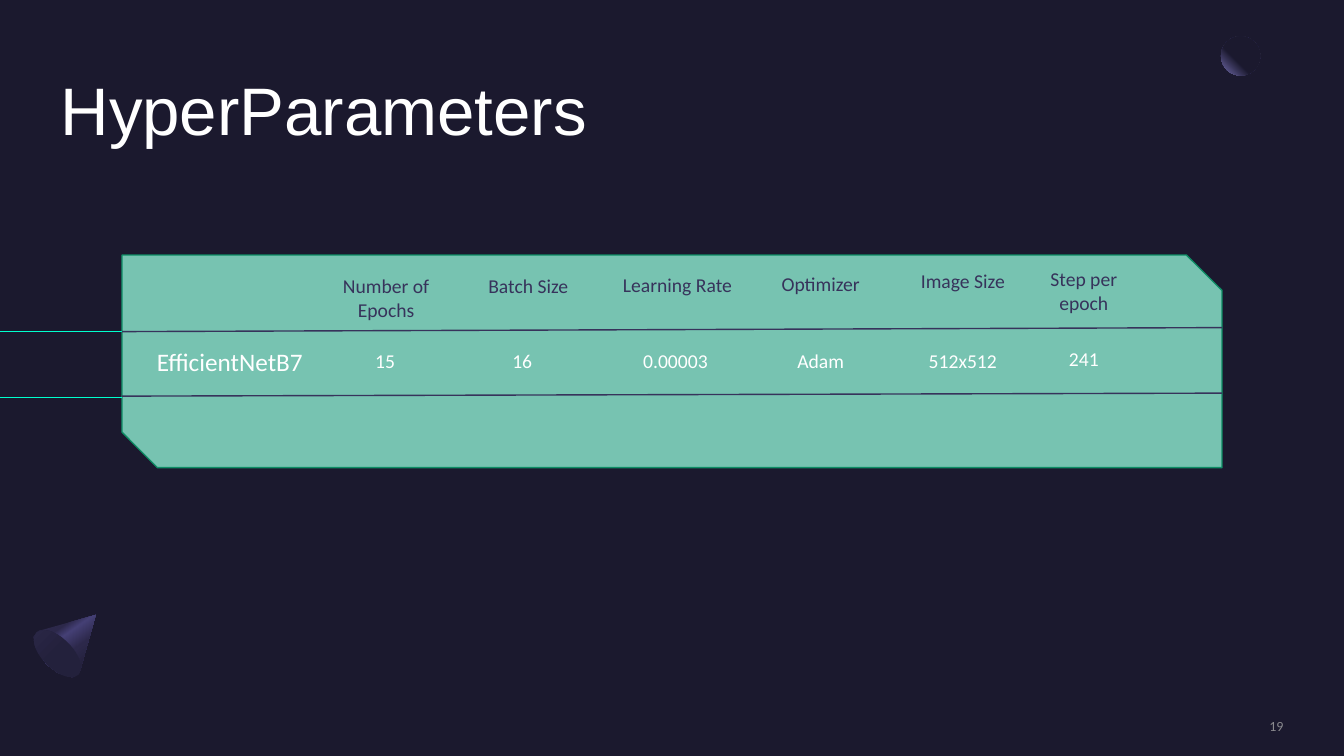
import pptx
import pptx.dml.color
import pptx.enum.shapes
import pptx.enum.text
import pptx.oxml
import pptx.oxml.ns
import pptx.util

Inches = pptx.util.Inches
Pt = pptx.util.Pt
RGBColor = pptx.dml.color.RGBColor
Shape = pptx.enum.shapes.MSO_SHAPE
Align = pptx.enum.text.PP_ALIGN
Anchor = pptx.enum.text.MSO_ANCHOR
AutoSize = pptx.enum.text.MSO_AUTO_SIZE

NIGHT = RGBColor(0x1B, 0x19, 0x2E)
DEEP = RGBColor(0x23, 0x21, 0x3C)
PLUM = RGBColor(0x2C, 0x28, 0x4A)
VIOLET = RGBColor(0x45, 0x40, 0x75)
LILAC = RGBColor(0x77, 0x71, 0xB2)
INDIGO = RGBColor(0x37, 0x33, 0x5B)
MINT = RGBColor(0x92, 0xF4, 0xD6)
GREEN = RGBColor(0x0E, 0x8D, 0x65)
AQUA = RGBColor(0x00, 0xFF, 0xCD)
WHITE = RGBColor(0xFF, 0xFF, 0xFF)
GREY = RGBColor(0xA6, 0xA6, 0xA6)

LINEAR = '<a:lin ang="{}" scaled="0"/>'
FROM_TOP_RIGHT = '<a:path path="circle"><a:fillToRect l="100000" b="100000"/></a:path>'

HEADERS = [
    ("Number of Epochs", 3.16, 2.67, 0.57),
    ("Batch Size", 4.57, 2.67, 0.34),
    ("Learning Rate", 6.05, 2.66, 0.34),
    ("Optimizer", 7.47, 2.65, 0.34),
    ("Image Size", 8.88, 2.62, 0.34),
    ("Step per epoch", 10.08, 2.6, 0.57),
]
VALUES = [
    ("15", 3.15, 3.41),
    ("16", 4.51, 3.41),
    ("0.00003", 6.03, 3.41),
    ("Adam", 7.47, 3.41),
    ("512x512", 8.88, 3.41),
    ("241", 10.08, 3.39),
]
CONE = [(0.95, 6.1), (0.79, 6.67), (0.72, 6.72), (0.58, 6.68),
        (0.46, 6.59), (0.36, 6.44), (0.33, 6.32), (0.38, 6.26)]


def write(frame, text, size=14, color=WHITE, font="Calibri", align=Align.CENTER,
          spacing=None, anchor=Anchor.TOP, margin=None, fit=AutoSize.NONE):
    frame.word_wrap = True
    frame.auto_size = fit
    frame.vertical_anchor = anchor
    if margin is not None:
        frame.margin_left = frame.margin_right = Inches(margin)
        frame.margin_top = frame.margin_bottom = Inches(margin)
    para = frame.paragraphs[0]
    para.alignment = align
    para.line_spacing = spacing
    span = para.add_run()
    span.text = text
    span.font.size = Pt(size)
    span.font.name = font
    span.font.color.rgb = color
    return span


def set_alpha(properties, percent):
    color = properties.find(".//" + pptx.oxml.ns.qn("a:srgbClr"))
    alpha = color.makeelement(pptx.oxml.ns.qn("a:alpha"), {"val": str(percent * 1000)})
    color.append(alpha)


class SlideBuilder:
    def __init__(self, deck):
        self.page = deck.slides.add_slide(deck.slide_layouts[5])
        self.page.background.fill.solid()
        self.page.background.fill.fore_color.rgb = NIGHT

    def title(self, text):
        box = self.page.shapes.title
        box.left, box.top = Inches(0.6), Inches(0.6)
        box.width, box.height = Inches(12.13), Inches(1.46)
        write(box.text_frame, text, size=48, font="Arial", align=Align.LEFT,
              spacing=1.1, margin=0)

    def text(self, text, left, top, width=1.34, height=0.34, **style):
        box = self.page.shapes.add_textbox(
            Inches(left), Inches(top), Inches(width), Inches(height))
        return write(box.text_frame, text, **style)

    def label(self, text, left, top, width=1.34, height=0.34, **style):
        return self.text(text, left, top, width, height, fit=AutoSize.SHAPE_TO_FIT_TEXT, **style)

    def shape(self, kind, left, top, width, height):
        box = self.page.shapes.add_shape(
            kind, Inches(left), Inches(top), Inches(width), Inches(height))
        box.shadow.inherit = False
        box.line.fill.background()
        return box

    def outline(self, points):
        corners = [(Inches(x), Inches(y)) for x, y in points]
        builder = self.page.shapes.build_freeform(*corners[0])
        builder.add_line_segments(corners[1:], close=True)
        box = builder.convert_to_shape()
        box.shadow.inherit = False
        box.line.fill.background()
        return box

    def gradient(self, box, stops, direction):
        box.fill.gradient()
        old = box.fill._xPr.find(pptx.oxml.ns.qn("a:gradFill"))
        marks = "".join(
            f'<a:gs pos="{place * 1000}"><a:srgbClr val="{color}"/></a:gs>'
            for place, color in stops)
        new = pptx.oxml.parse_xml(
            f'<a:gradFill {pptx.oxml.ns.nsdecls("a")} rotWithShape="1">'
            f"<a:gsLst>{marks}</a:gsLst>{direction}</a:gradFill>")
        old.getparent().replace(old, new)

    def line(self, start, end, color, width):
        line = self.page.shapes.add_connector(
            pptx.enum.shapes.MSO_CONNECTOR.STRAIGHT,
            Inches(start[0]), Inches(start[1]), Inches(end[0]), Inches(end[1]))
        line.line.color.rgb = color
        line.line.width = Pt(width)
        properties = line._element.spPr
        properties.append(properties.makeelement(pptx.oxml.ns.qn("a:effectLst"), {}))


def main():
    deck = pptx.Presentation()
    deck.slide_width, deck.slide_height = Inches(13.33), Inches(7.5)
    slide = SlideBuilder(deck)

    moon = slide.shape(Shape.OVAL, 12.11, 0.36, 0.39, 0.39)
    slide.gradient(moon, [(60, NIGHT), (100, LILAC)], FROM_TOP_RIGHT)
    cone = slide.outline(CONE)
    slide.gradient(cone, [(30, PLUM), (40, VIOLET), (60, PLUM), (100, NIGHT)],
                   LINEAR.format(55 * 60000))
    base = slide.shape(Shape.OVAL, 0.42, 6.19, 0.3, 0.59)
    base.rotation = 135
    slide.gradient(base, [(50, DEEP), (100, PLUM)], LINEAR.format(90 * 60000))

    slide.title("HyperParameters")
    number = slide.text("19", 10.88, 7.12, 1.85, 0.17, size=10, color=GREY,
                        align=Align.RIGHT, anchor=Anchor.MIDDLE, margin=0)
    set_alpha(number.font._element, 80)

    panel = slide.shape(Shape.SNIP_2_DIAG_RECTANGLE, 1.21, 2.53, 10.91, 2.11)
    panel.fill.solid()
    panel.fill.fore_color.rgb = MINT
    set_alpha(panel._element.spPr, 78)
    panel.line.color.rgb = GREEN
    panel.line.width = Pt(1)

    for height in (3.29, 3.94):
        slide.line((0, height), (1.21, height), AQUA, 0.75)
    for start, end in ((3.29, 3.25), (3.93, 3.9)):
        slide.line((1.21, start), (12.12, end), INDIGO, 1)

    slide.label("EfficientNetB7", 1.21, 3.39, 2.14, 0.4, size=18)
    for text, left, top, height in HEADERS:
        slide.label(text, left, top, height=height, color=INDIGO)
    for text, left, top in VALUES:
        slide.label(text, left, top)

    deck.save("out.pptx")


if __name__ == "__main__":
    main()
